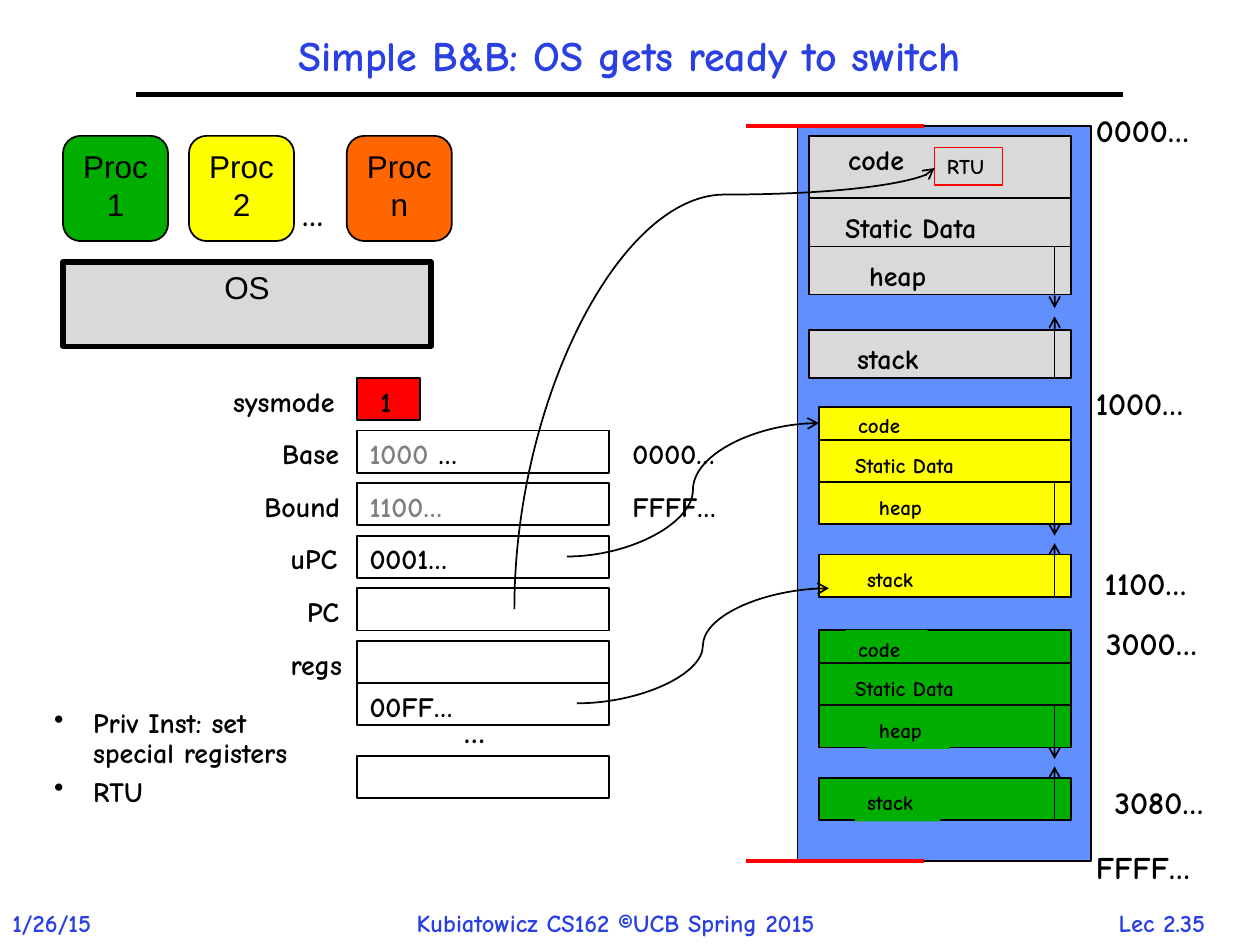
from lxml import etree
from pptx import Presentation
from pptx import util as u
from pptx.dml.color import RGBColor
from pptx.enum import shapes, text
from pptx.oxml import ns

Cm, Pt = u.Cm, u.Pt
BLACK = RGBColor(0x00, 0x00, 0x00)
GRAY = RGBColor(0x80, 0x80, 0x80)
LIGHT = RGBColor(0xD9, 0xD9, 0xD9)
BLUE = RGBColor(0x2A, 0x40, 0xE2)
SKY = RGBColor(0x61, 0x8F, 0xFD)
GREEN = RGBColor(0x00, 0xAE, 0x00)
YELLOW = RGBColor(0xFF, 0xFF, 0x00)
ORANGE = RGBColor(0xFF, 0x66, 0x00)
RED = RGBColor(0xFF, 0x00, 0x00)
HAND, SANS = "Comic Neue", "Arial"
RECT = shapes.MSO_SHAPE.RECTANGLE
ROUND = shapes.MSO_SHAPE.ROUNDED_RECTANGLE
STRAIGHT = shapes.MSO_CONNECTOR.STRAIGHT
CURVE = shapes.MSO_CONNECTOR.CURVE
CENTER = text.PP_ALIGN.CENTER


def add_run(paragraph, words, size, color=BLACK, font=HAND):
    run = paragraph.add_run()
    run.text = words
    run.font.size = Pt(size)
    run.font.name = font
    run.font.bold = font == HAND
    run.font.color.rgb = color


def label(parts, box, runs, size, fill=None, align=None):
    note = parts.add_textbox(*map(Cm, box))
    if fill is not None:
        note.fill.solid()
        note.fill.fore_color.rgb = fill
    frame = note.text_frame
    frame.word_wrap = False
    frame.auto_size = text.MSO_AUTO_SIZE.SHAPE_TO_FIT_TEXT
    paragraph = frame.paragraphs[0]
    paragraph.alignment = align
    for words, color in runs:
        add_run(paragraph, words, size, color)
    return note


def block(parts, box, fill=None, weight=1, kind=RECT, caption=None):
    cell = parts.add_shape(kind, *map(Cm, box))
    cell.shadow.inherit = False
    if fill is None:
        cell.fill.background()
    else:
        cell.fill.solid()
        cell.fill.fore_color.rgb = fill
    cell.line.color.rgb = BLACK
    cell.line.width = Pt(weight)
    if caption:
        frame = cell.text_frame
        frame.word_wrap = True
        frame.vertical_anchor = text.MSO_ANCHOR.TOP
        frame.paragraphs[0].alignment = CENTER
        add_run(frame.paragraphs[0], caption, 18, font=SANS)


def line(parts, ends, color=BLACK, weight=1, arrow=False, kind=STRAIGHT):
    link = parts.add_connector(kind, *map(Cm, ends))
    link.line.color.rgb = color
    link.line.width = Pt(weight)
    if arrow:
        etree.SubElement(link.line._get_or_add_ln(), ns.qn("a:tailEnd"), type="arrow")
    etree.SubElement(link._element.spPr, ns.qn("a:effectLst"))
    return link


def heading(slide, left, top, width, height):
    title = slide.shapes.title
    title.left, title.top, title.width, title.height = map(Cm, (left, top, width, height))
    title.text_frame.vertical_anchor = text.MSO_ANCHOR.MIDDLE
    paragraph = title.text_frame.paragraphs[0]
    paragraph.alignment = CENTER
    paragraph.line_spacing = 0.9
    add_run(paragraph, "Simple B&B: OS gets ready to switch", 24, BLUE)
    line(slide.shapes, (left, top + height, left + width, top + height), weight=3)


def footer(slide, top, height):
    for words, left, width, align in (("1/26/15", 0, 2.54, None),
                                      ("Kubiatowicz CS162 ©UCB Spring 2015", 8.15, 9.83, None),
                                      ("Lec 2.35", 21.89, 3.07, CENTER)):
        label(slide.shapes, (left, top, width, height), [(words, BLUE)], 14, align=align)


def steps(slide, left, top, width, height):
    frame = slide.shapes.add_textbox(*map(Cm, (left, top, width, height))).text_frame
    frame.word_wrap = True
    for i, words in enumerate(("Priv Inst: set special registers", "RTU")):
        paragraph = frame.add_paragraph() if i else frame.paragraphs[0]
        paragraph.line_spacing = 0.9
        paragraph.space_before = Pt(4.8)
        add_run(paragraph, words, 16)
        props = paragraph._p.get_or_add_pPr()
        props.set("marL", str(Cm(0.79)))
        props.set("indent", str(-Cm(0.79)))
        etree.SubElement(props, ns.qn("a:buChar"), char="•")


def processes(slide, left, top):
    parts, side = slide.shapes, 2.12
    block(parts, (left, top + 2.54, 7.42, 1.7), LIGHT, 3, caption="OS")
    for name, offset, fill in (("1", 0, GREEN), ("2", 2.54, YELLOW), ("n", 5.72, ORANGE)):
        block(parts, (left + offset, top, side, side), fill, kind=ROUND,
              caption="Proc " + name)
    label(parts, (left + 4.57, top + 1.07, 1.14, 1.02), [("…", BLACK)], 18)


def process_memory(slide, left, top, width, fill, heights, gap, reach, size,
                   label_widths, label_height, filled=()):
    parts = slide.shapes.add_group_shape().shapes
    code, data, heap, stack = heights
    heap_top = top + code + data
    stack_top = heap_top + heap + gap
    segments = (("code", top, 0.54, 0), ("Static Data", top + code, 0.48, 0.12),
                ("heap", heap_top, 0.96, 0.12), ("stack", stack_top, 0.72, 0.12))
    for (name, y, indent, drop), height, label_width in zip(segments, heights, label_widths):
        block(parts, (left, y, width, height), fill)
        label(parts, (left + indent, y + drop, label_width, label_height),
              [(name, BLACK)], size, fill if name in filled else None)
    x, stack_end = left + width - 0.33, stack_top + stack
    line(parts, (x, stack_end, x, stack_end - reach), arrow=True)
    line(parts, (x, heap_top, x, heap_top + reach), arrow=True)


def memory(slide, left, top, width, height):
    parts = slide.shapes
    block(parts, (left, top, width, height), SKY)
    process_memory(slide, left + 0.23, top + 0.2, 5.28, LIGHT, (1.26, 0.97, 0.97, 0.97),
                   0.71, 1.24, 16, (1.98, 3.76, 2.03, 2.13), 0.74)
    for offset, fill, filled in ((5.66, YELLOW, ("Static Data",)),
                                 (10.16, GREEN, ("code", "Static Data", "heap", "stack"))):
        process_memory(slide, left + 0.43, top + offset, 5.08, fill,
                       (0.67, 0.85, 0.85, 0.85), 0.61, 1.08, 12,
                       (1.65, 2.97, 1.68, 1.73), 0.76, filled)
    for address, dx, dy in (("0000…", -0.16, -0.43), ("FFFF…", -0.16, 14.43),
                            ("1000…", -0.16, 5.08), ("1100…", 0.02, 8.71),
                            ("3000…", 0.05, 9.91), ("3080…", 0.22, 13.13)):
        label(parts, (left + width + dx, top + dy, 2.59, 1.02), [(address, BLACK)], 18)
    for y in (top, top + height):
        line(parts, (left - 1.04, y, left + 2.54, y), RED, 2.25)
    rtu = label(parts, (left + 2.76, top + 0.43, 1.37, 0.76), [("RTU", BLACK)], 12)
    rtu.line.color.rgb = RED
    rtu.line.width = Pt(0.75)


def registers(slide, left, top, width):
    parts, pitch, height, text_height = slide.shapes, 1.06, 0.85, 0.94
    block(parts, (left, top, 1.27, height), RED)
    label(parts, (left + 0.22, top, 0.84, text_height), [("1", BLACK)], 16)
    rows = (("sysmode", 2.79, (), None),
            ("Base", 1.8, (("1000 ", GRAY), ("…", BLACK)), "0000…"),
            ("Bound", 2.16, (("1100…", GRAY),), "FFFF…"),
            ("uPC", 1.63, (("0001…", BLACK),), None),
            ("PC", 1.3, (), None),
            ("regs", 1.63, (), None))
    for i, (name, name_width, value, loaded) in enumerate(rows):
        y = top + i * pitch
        label(parts, (left + 0.04 - name_width, y, name_width, text_height),
              [(name, BLACK)], 16)
        if i:
            block(parts, (left, y, width, height))
        if value:
            label(parts, (left, y, 2.4, text_height), value, 16)
        if loaded:
            label(parts, (left + width + 0.22, y, 2.4, text_height), [(loaded, BLACK)], 16)
    second_reg = top + 5 * pitch + height
    block(parts, (left, second_reg, width, height))
    label(parts, (left, second_reg, 2.41, text_height), [("00FF…", BLACK)], 16)
    label(parts, (left + 1.9, top + 6.6, 1.14, 1.02), [("…", BLACK)], 18)
    block(parts, (left, top + 7.62, width, height))


def pointers(slide):
    parts = slide.shapes
    pc = line(parts, (19.05, 12.07, 10.16, 3.6), arrow=True, kind=CURVE)
    pc._element.spPr.find(ns.qn("a:xfrm")).set("rot", "5400000")
    bend = pc._element.spPr.find(ns.qn("a:prstGeom")).find(ns.qn("a:avLst"))
    etree.SubElement(bend, ns.qn("a:gd"), name="adj1", fmla="val 94000")
    for ends in ((11.43, 11.22, 16.51, 8.53), (11.63, 14.18, 16.71, 11.86)):
        line(parts, ends, arrow=True, kind=CURVE)


def main():
    deck = Presentation()
    deck.slide_width, deck.slide_height = Cm(25.4), Cm(19.05)
    slide = deck.slides.add_slide(deck.slide_layouts[5])
    footer(slide, 18.19, 0.86)
    heading(slide, 2.74, 0.43, 19.9, 1.47)
    steps(slide, 0.84, 14.17, 5.72, 2.97)
    processes(slide, 1.27, 2.74)
    memory(slide, 16.08, 2.54, 5.92, 14.82)
    registers(slide, 7.2, 7.62, 5.08)
    pointers(slide)
    deck.save("out.pptx")


if __name__ == "__main__":
    main()
